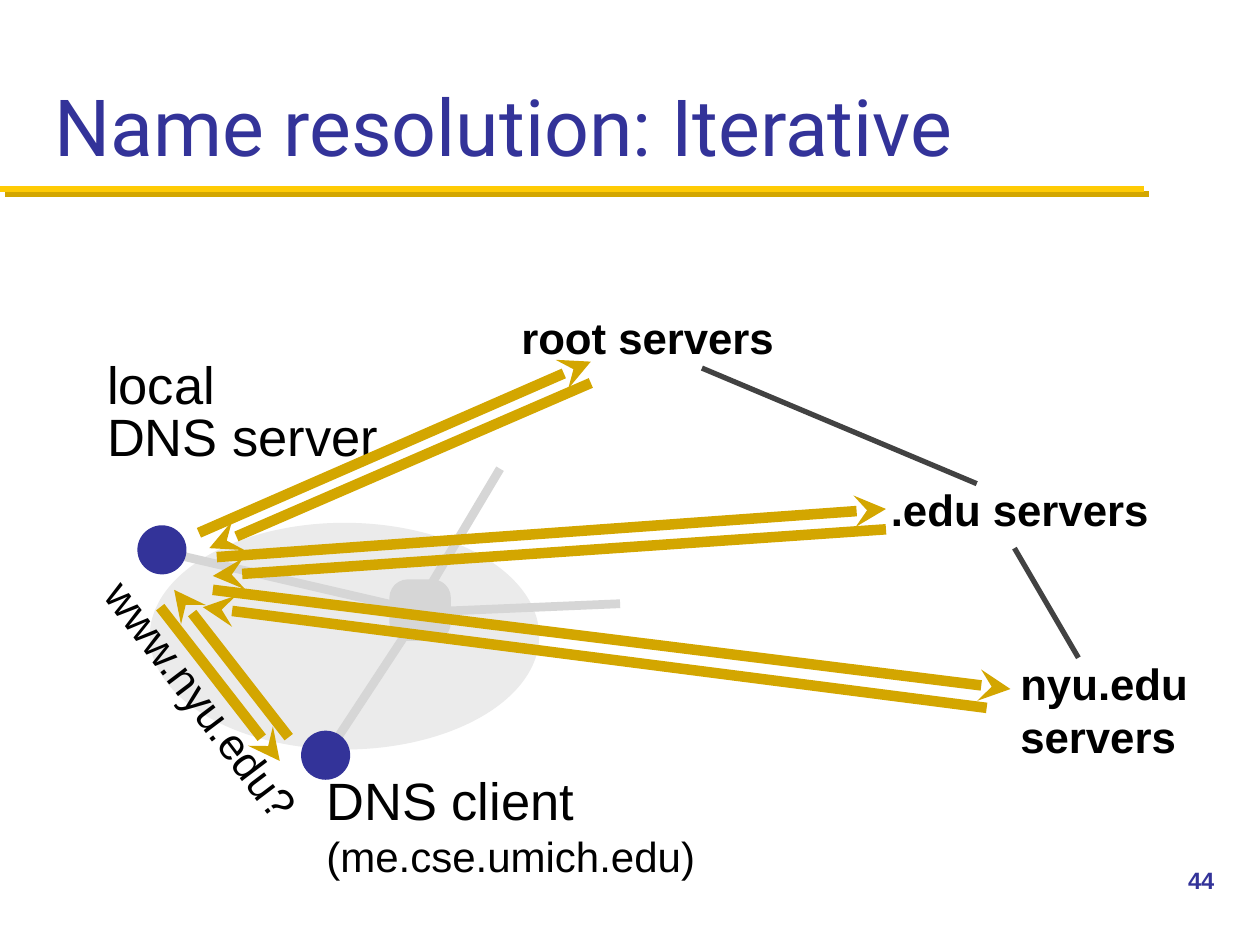
from dataclasses import dataclass

import pptx
import pptx.dml.color
import pptx.enum.shapes
import pptx.enum.text
import pptx.oxml.ns
import pptx.oxml.xmlchemy
import pptx.util
from pptx.util import Cm

SHAPES = pptx.enum.shapes.MSO_SHAPE
ANCHORS = pptx.enum.text.MSO_ANCHOR
Point = tuple[float, float]


@dataclass(frozen=True)
class Theme:
    navy: str = "333399"
    maize: str = "FFCB05"
    gold: str = "D3A600"
    cloud: str = "EBEBEB"
    network: str = "D6D6D6"
    hierarchy: str = "424242"
    text: str = "000000"
    title_font: str = "Roboto"
    font: str = "Arial"
    title_size: float = 45
    host_size: float = 30
    server_size: float = 25
    detail_size: float = 24
    number_size: float = 13.5


THEME = Theme()


@dataclass(frozen=True)
class Label:
    lines: tuple[tuple[str, float], ...]
    left: float
    top: float
    width: float
    height: float
    bold: bool = False
    rotation: float = 0
    spacing: float | None = None
    color: str = THEME.text
    anchor: ANCHORS = ANCHORS.MIDDLE
    inset: float = 0.1


@dataclass(frozen=True)
class Node:
    preset: SHAPES
    left: float
    top: float
    width: float
    height: float
    color: str


@dataclass(frozen=True)
class Link:
    start: Point
    end: Point


CLOUD = Node(SHAPES.OVAL, 3.02, 10.54, 7.85, 4.57, THEME.cloud)
ROUTER = Node(SHAPES.ROUNDED_RECTANGLE, 7.85, 11.68, 1.24, 1.24, THEME.network)
HOSTS = [
    Node(SHAPES.OVAL, left, top, 0.99, 0.99, THEME.navy)
    for left, top in ((6.07, 14.73), (2.77, 10.59))
]

NETWORK_LINKS = [
    Link((3.2, 11.1), (8.33, 12.29)),
    Link((8.43, 12.4), (6.65, 15.11)),
    Link((10.08, 9.45), (8.46, 12.17)),
    Link((12.5, 12.17), (8.48, 12.34)),
]
HIERARCHY_LINKS = [
    Link((14.15, 7.42), (19.69, 9.75)),
    Link((20.45, 11.05), (21.74, 13.26)),
]
# Each message starts at its arrowhead.
MESSAGES = [
    Link((3.51, 11.89), (5.82, 14.86)),
    Link((11.91, 7.29), (4.01, 10.74)),
    Link((17.86, 10.26), (4.37, 11.23)),
    Link((4.22, 11.05), (11.91, 7.72)),
    Link((4.29, 11.61), (17.86, 10.67)),
    Link((20.37, 13.89), (4.29, 11.89)),
    Link((4.09, 12.24), (19.89, 14.27)),
    Link((5.64, 15.34), (3.23, 12.24)),
]

LABELS = [
    Label((("DNS client", THEME.host_size), ("(me.cse.umich.edu)", THEME.detail_size)),
          6.48, 15.37, 10.46, 2.51),
    Label((("DNS server", THEME.host_size),), 2.06, 8.05, 7.21, 1.47),
    Label((("local", THEME.host_size),), 2.06, 6.99, 2.44, 1.47),
    Label((("root servers", THEME.server_size),), 10.41, 6.15, 5.84, 1.27, bold=True),
    Label(((".edu servers", THEME.server_size),), 17.86, 9.63, 6.71, 1.27, bold=True),
    Label((("nyu.edu servers", THEME.server_size),), 20.47, 13.13, 4.7, 2.34, bold=True),
    Label((("www.nyu.edu?", THEME.server_size),), 0.99, 13.69, 6.12, 1.09,
          rotation=53, spacing=0.8),
]
SLIDE_NUMBER = Label((("44", THEME.number_size),), 23.7, 17.35, 1.7, 1.27, bold=True,
                     color=THEME.navy, anchor=ANCHORS.TOP, inset=0.25)


def rgb(color: str) -> pptx.dml.color.RGBColor:
    return pptx.dml.color.RGBColor.from_string(color)


def style_run(run, size: float, color: str, font: str = THEME.font, bold: bool = False) -> None:
    run.font.name = font
    run.font.size = pptx.util.Pt(size)
    run.font.bold = bold
    run.font.color.rgb = rgb(color)


def draw_title(slide, wording: str) -> None:
    title = slide.shapes.title
    title.left, title.top, title.width, title.height = Cm(0.84), Cm(0.43), Cm(23.7), Cm(3.18)
    title.text_frame.vertical_anchor = ANCHORS.BOTTOM
    heading = title.text_frame.paragraphs[0]
    heading.alignment = pptx.enum.text.PP_ALIGN.LEFT
    run = heading.add_run()
    run.text = wording
    style_run(run, THEME.title_size, THEME.navy, THEME.title_font)


def draw_label(slide, label: Label) -> None:
    box = slide.shapes.add_textbox(Cm(label.left), Cm(label.top), Cm(label.width), Cm(label.height))
    box.rotation = label.rotation
    frame = box.text_frame
    frame.word_wrap = True
    frame.auto_size = pptx.enum.text.MSO_AUTO_SIZE.SHAPE_TO_FIT_TEXT
    frame.vertical_anchor = label.anchor
    frame.margin_left = frame.margin_right = Cm(label.inset)
    frame.margin_top = frame.margin_bottom = Cm(0.1)
    paragraph = frame.paragraphs[0]
    paragraph.line_spacing = label.spacing
    for index, (wording, size) in enumerate(label.lines):
        if index:
            paragraph.add_line_break()
        run = paragraph.add_run()
        run.text = wording
        style_run(run, size, label.color, bold=label.bold)


def draw_node(slide, node: Node):
    shape = slide.shapes.add_shape(
        node.preset, Cm(node.left), Cm(node.top), Cm(node.width), Cm(node.height))
    shape.shadow.inherit = False
    shape.fill.solid()
    shape.fill.fore_color.rgb = rgb(node.color)
    shape.line.fill.background()
    return shape


def draw_link(slide, link: Link, color: str, weight: float, arrow: bool = False):
    """Draw a straight line, with any arrowhead at its start; return its effect list."""
    line = slide.shapes.add_connector(
        pptx.enum.shapes.MSO_CONNECTOR.STRAIGHT, *map(Cm, link.start + link.end))
    line.line.color.rgb = rgb(color)
    line.line.width = pptx.util.Pt(weight)
    properties = line._element.spPr
    if arrow:
        head = pptx.oxml.xmlchemy.OxmlElement("a:headEnd")
        head.set("type", "stealth")
        properties.find(pptx.oxml.ns.qn("a:ln")).append(head)
    effects = pptx.oxml.xmlchemy.OxmlElement("a:effectLst")
    properties.append(effects)
    return effects


def draw_title_rule(slide) -> None:
    effects = draw_link(slide, Link((0, 3.81), (23.06, 3.81)), THEME.maize, 3.5)
    shadow = pptx.oxml.xmlchemy.OxmlElement("a:outerShdw")
    shadow.set("dist", str(int(pptx.util.Pt(4.2))))
    shadow.set("dir", str(45 * 60000))
    shadow_color = pptx.oxml.xmlchemy.OxmlElement("a:srgbClr")
    shadow_color.set("val", THEME.gold)
    shadow.append(shadow_color)
    effects.append(shadow)


def main() -> None:
    deck = pptx.Presentation()
    deck.slide_width, deck.slide_height = Cm(25.4), Cm(19.05)
    slide = deck.slides.add_slide(deck.slide_layouts.get_by_name("Title Only"))
    draw_title_rule(slide)
    draw_title(slide, "Name resolution: Iterative")
    draw_label(slide, SLIDE_NUMBER)

    draw_node(slide, CLOUD)
    for link in NETWORK_LINKS:
        draw_link(slide, link, THEME.network, 5)
    draw_node(slide, ROUTER).adjustments[0] = 0.3
    for host in HOSTS:
        draw_node(slide, host)
    for label in LABELS:
        draw_label(slide, label)
    for link in HIERARCHY_LINKS:
        draw_link(slide, link, THEME.hierarchy, 3)
    for message in MESSAGES:
        draw_link(slide, message, THEME.gold, 6, arrow=True)
    deck.save("out.pptx")


if __name__ == "__main__":
    main()
